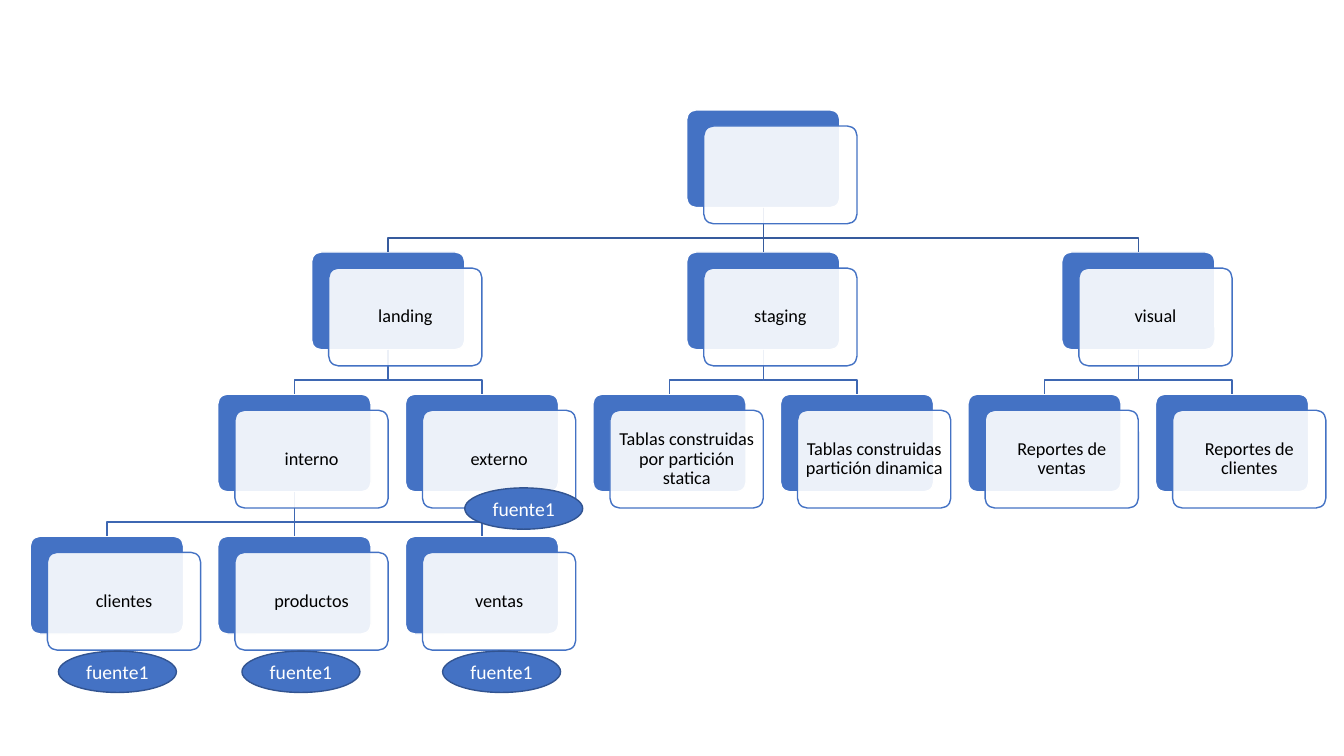
from pptx import Presentation
from pptx.dml.color import RGBColor
from pptx.enum.shapes import MSO_CONNECTOR, MSO_SHAPE
from pptx.enum.text import MSO_ANCHOR as Anchor, PP_ALIGN as Align
from pptx.oxml.xmlchemy import OxmlElement
from pptx.util import Inches, Pt

BLUE = RGBColor(0x44, 0x72, 0xC4)
OVAL_EDGE = RGBColor(0x32, 0x54, 0x91)
TOP_LINK = RGBColor(0x36, 0x5B, 0x9D)
LOWER_LINK = RGBColor(0x3E, 0x67, 0xB2)
WHITE = RGBColor(0xFF, 0xFF, 0xFF)
BLACK = RGBColor(0, 0, 0)

CARD_WIDTH, CARD_HEIGHT = 1.52, 0.97
COLUMN_STEP, LEVEL_STEP = 1.86, 1.41
FIRST_LEFT, FIRST_TOP = 0.3, 1.09
FRONT_SHIFT_X, FRONT_SHIFT_Y = 0.17, 0.16
LINK_DROP = 0.3

# key: (label, column, level, parent)
NODES = {
    "root": ("", 3.5, 0, None),
    "landing": ("landing", 1.5, 1, "root"),
    "staging": ("staging", 3.5, 1, "root"),
    "visual": ("visual", 5.5, 1, "root"),
    "interno": ("interno", 1, 2, "landing"),
    "externo": ("externo", 2, 2, "landing"),
    "statica": ("Tablas construidas por partición statica", 3, 2, "staging"),
    "dinamica": ("Tablas construidas partición dinamica", 4, 2, "staging"),
    "reporte ventas": ("Reportes de ventas", 5, 2, "visual"),
    "reporte clientes": ("Reportes de clientes", 6, 2, "visual"),
    "clientes": ("clientes", 0, 3, "interno"),
    "productos": ("productos", 1, 3, "interno"),
    "ventas": ("ventas", 2, 3, "interno"),
}
SOURCES = [(0.58, 6.46), (4.39, 6.46), (2.4, 6.46), (4.61, 4.84)]


class TreeSlide:
    font_name = "Calibri"

    def __init__(self, presentation):
        self.slide = presentation.slides.add_slide(presentation.slide_layouts[6])
        self.shapes = self.slide.shapes

    def box(self, kind, left, top, width, height, fill, line):
        shape = self.shapes.add_shape(
            kind, Inches(left), Inches(top), Inches(width), Inches(height))
        shape.shadow.inherit = False
        shape.fill.solid()
        shape.fill.fore_color.rgb = fill
        shape.line.color.rgb = line
        shape.line.width = Pt(1)
        return shape

    def label(self, shape, text, size, color):
        frame = shape.text_frame
        frame.word_wrap = True
        frame.vertical_anchor = Anchor.MIDDLE
        paragraph = frame.paragraphs[0]
        paragraph.text = text
        paragraph.alignment = Align.CENTER
        paragraph.font.name = self.font_name
        paragraph.font.size = Pt(size)
        paragraph.font.color.rgb = color
        return paragraph

    def card(self, column, level, shift_x=0, shift_y=0, fill=BLUE, line=WHITE):
        shape = self.box(
            MSO_SHAPE.ROUNDED_RECTANGLE,
            FIRST_LEFT + column * COLUMN_STEP + shift_x,
            FIRST_TOP + level * LEVEL_STEP + shift_y,
            CARD_WIDTH, CARD_HEIGHT, fill, line)
        shape.adjustments[0] = 0.1
        return shape

    def front_card(self, text, column, level):
        """Add the translucent card that carries the label."""
        shape = self.card(column, level, FRONT_SHIFT_X, FRONT_SHIFT_Y, WHITE, BLUE)
        alpha = OxmlElement("a:alpha")
        alpha.set("val", "90000")
        shape._element.spPr.find("{*}solidFill/{*}srgbClr").append(alpha)
        if text:
            frame = shape.text_frame
            frame.margin_left = frame.margin_right = Inches(0.05)
            frame.margin_top = frame.margin_bottom = Inches(0.05)
            self.label(shape, text, 13, BLACK).line_spacing = 0.9

    def link(self, parent, child, color):
        """Join two back cards: straight when aligned, otherwise with a bend."""
        start_x = parent.left + parent.width // 2
        start_y = parent.top + parent.height
        end_x = child.left + child.width // 2
        if start_x == end_x:
            line = self.shapes.add_connector(
                MSO_CONNECTOR.STRAIGHT, start_x, start_y, end_x, child.top)
            line.begin_connect(parent, 2)
            line.end_connect(child, 0)
            line.line.color.rgb = color
            line._element.spPr.append(OxmlElement("a:effectLst"))
        else:
            bend_y = start_y + Inches(LINK_DROP)
            builder = self.shapes.build_freeform(start_x, start_y)
            builder.add_line_segments(
                [(start_x, bend_y), (end_x, bend_y), (end_x, child.top)], close=False)
            line = builder.convert_to_shape()
            line.fill.background()
            line.line.color.rgb = color
            line.shadow.inherit = False
        line.line.width = Pt(1)

    def source(self, left, top):
        oval = self.box(MSO_SHAPE.OVAL, left, top, 1.17, 0.41, BLUE, OVAL_EDGE)
        self.label(oval, "fuente1", 14, WHITE)


def main():
    presentation = Presentation()
    presentation.slide_width = Inches(13.33)
    presentation.slide_height = Inches(7.5)
    tree = TreeSlide(presentation)

    back_cards = {key: tree.card(column, level)
                  for key, (_, column, level, _) in NODES.items()}
    for key, (_, _, level, parent) in NODES.items():
        if parent:
            color = TOP_LINK if level == 1 else LOWER_LINK
            tree.link(back_cards[parent], back_cards[key], color)
    for text, column, level, _ in NODES.values():
        tree.front_card(text, column, level)
    for left, top in SOURCES:
        tree.source(left, top)

    presentation.save("out.pptx")


if __name__ == "__main__":
    main()
